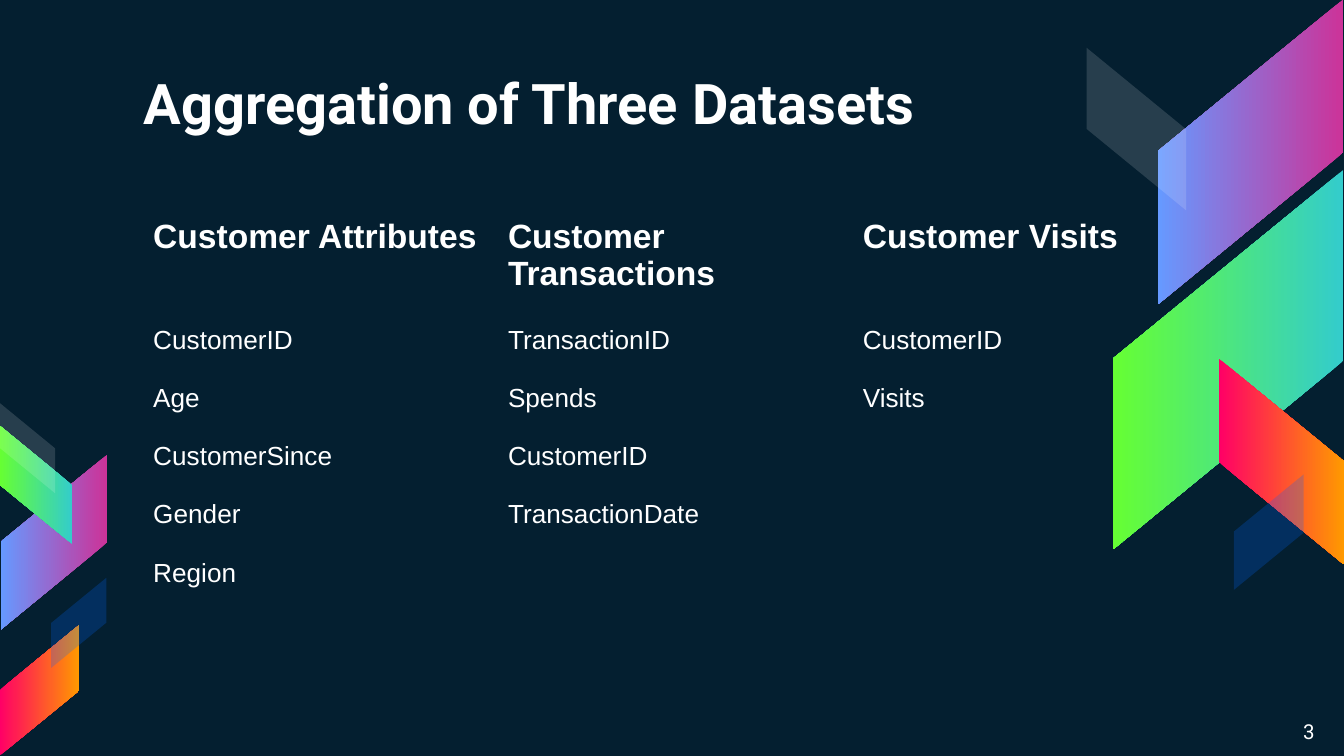
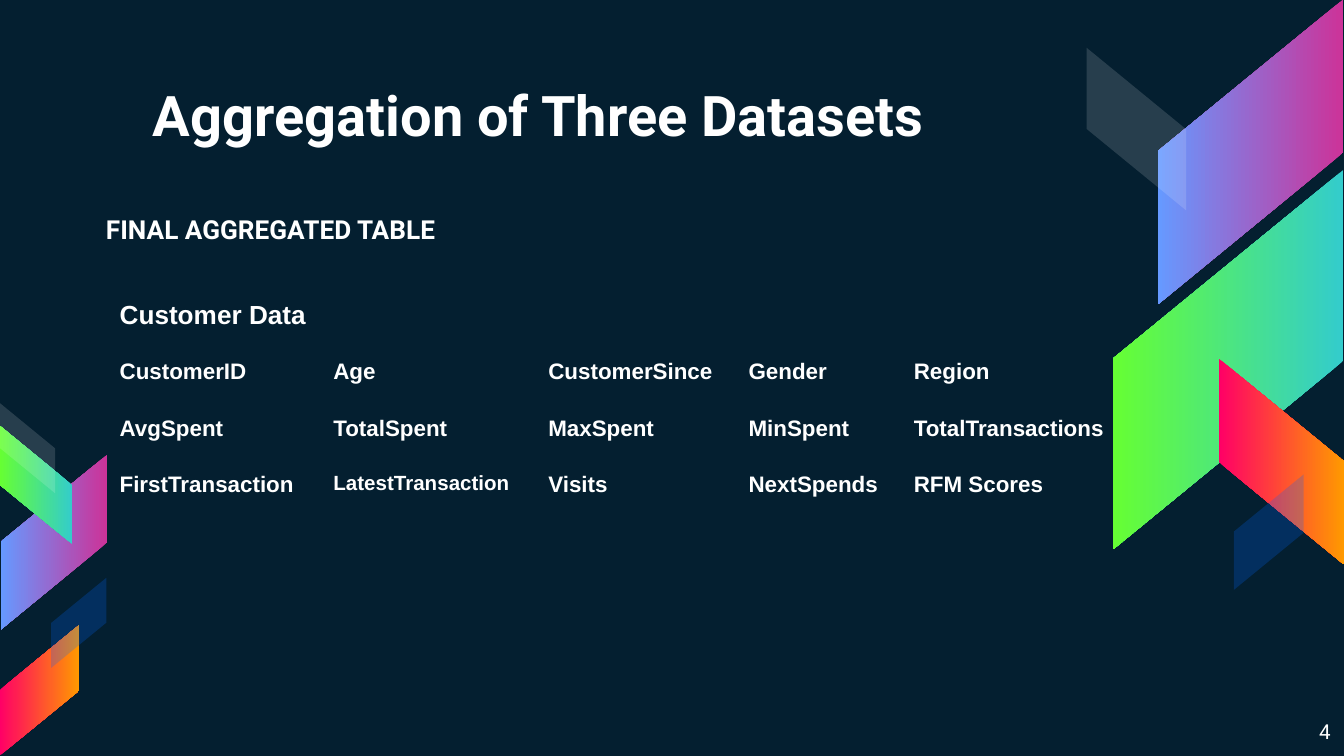
from dataclasses import dataclass

from lxml import etree
from pptx import Presentation
from pptx import util as u
from pptx.dml.color import RGBColor
from pptx.enum import shapes, text
from pptx.oxml import ns
from pptx.slide import Slide
from pptx.table import Table, _Cell
from pptx.text.text import TextFrame

NAVY = "041F30"
WHITE = "FFFFFF"
BLUE = "0066FF"
PURPLE_BLUE = ("CC3399", "6699FF")
TEAL_GREEN = ("33CCCC", "66FF33")
PINK_ORANGE = ("FF0066", "FF9900")
HEADING_FONT = "Roboto"
BODY_FONT = "Arial"
SLIDE_WIDTH = 10
INSET = 0.1
BAND_SLANT = 0.819
TITLE = "Aggregation of Three Datasets"


@dataclass(frozen=True)
class Box:
    left: float
    top: float
    width: float
    height: float

    def emu(self) -> tuple[u.Length, ...]:
        return tuple(u.Inches(v) for v in (self.left, self.top, self.width, self.height))


@dataclass(frozen=True)
class Band:
    box: Box
    rotation: int
    flipped: bool
    colors: tuple[str, ...]
    opacity: int = 100


BANDS = (
    Band(Box(8.17, 0.44, 2.27, 1.38), 90, True, PURPLE_BLUE),
    Band(Box(7.73, 1.82, 2.82, 1.71), 90, True, TEAL_GREEN),
    Band(Box(8.77, 2.97, 1.53, 0.93), 270, False, PINK_ORANGE),
    Band(Box(7.85, 0.59, 1.21, 0.74), 270, False, (WHITE,), 14),
    Band(Box(9.01, 3.7, 0.86, 0.52), 270, True, (BLUE,), 23),
    Band(Box(-0.25, 3.64, 1.3, 0.79), 90, True, PURPLE_BLUE),
    Band(Box(-0.17, 3.34, 0.88, 0.54), 90, False, TEAL_GREEN),
    Band(Box(-0.19, 4.84, 0.97, 0.59), 270, True, PINK_ORANGE),
    Band(Box(-0.13, 3.13, 0.67, 0.41), 270, False, (WHITE,), 14),
    Band(Box(0.25, 4.43, 0.67, 0.41), 270, True, (BLUE,), 23),
)

DATASETS = {
    "Customer Attributes": ["CustomerID", "Age", "CustomerSince", "Gender", "Region"],
    "Customer Transactions": ["TransactionID", "Spends", "CustomerID", "TransactionDate"],
    "Customer Visits": ["CustomerID", "Visits"],
}

AGGREGATED_FIELDS = [
    ["CustomerID", "Age", "CustomerSince", "Gender", "Region"],
    ["AvgSpent", "TotalSpent", "MaxSpent", "MinSpent", "TotalTransactions"],
    ["FirstTransaction", "LatestTransaction", "Visits", "NextSpends", "RFM Scores"],
]


def rgb(color: str) -> RGBColor:
    return RGBColor.from_string(color)


def write(tf: TextFrame, content: str, *, size: float, font: str = BODY_FONT,
          bold: bool = False, align: text.PP_ALIGN | None = None) -> None:
    p = tf.paragraphs[0]
    p.alignment = align
    if not content:
        end = etree.SubElement(p._p, ns.qn("a:endParaRPr"), sz=str(size * 100))
        etree.SubElement(end, ns.qn("a:latin"), typeface=font)
        return
    r = p.add_run()
    r.text = content
    r.font.size = u.Pt(size)
    r.font.name = font
    r.font.bold = bold
    r.font.color.rgb = rgb(WHITE)


def add_text(s: Slide, box: Box, content: str, *,
             anchor: text.MSO_ANCHOR = text.MSO_ANCHOR.TOP, **style) -> None:
    tf = s.shapes.add_textbox(*box.emu()).text_frame
    tf.word_wrap = True
    tf.vertical_anchor = anchor
    tf.margin_left = tf.margin_right = u.Inches(INSET)
    tf.margin_top = tf.margin_bottom = u.Inches(INSET)
    write(tf, content, font=HEADING_FONT, **style)


def add_band(s: Slide, band: Band) -> None:
    sp = s.shapes.add_shape(shapes.MSO_SHAPE.PARALLELOGRAM, *band.box.emu())
    sp.adjustments[0] = BAND_SLANT
    sp.rotation = band.rotation
    sp.shadow.inherit = False
    sp.line.fill.background()
    spPr = sp._element.spPr
    if band.flipped:
        spPr.xfrm.set("flipH", "1")
    if len(band.colors) > 1:
        sp.fill.gradient()
        sp.fill.gradient_angle = 270
        for stop, color in zip(sp.fill.gradient_stops, band.colors):
            stop.color.rgb = rgb(color)
    else:
        sp.fill.solid()
        sp.fill.fore_color.rgb = rgb(band.colors[0])
        tint = spPr.find(ns.qn("a:solidFill"))[0]
        etree.SubElement(tint, ns.qn("a:alpha"), val=str(band.opacity * 1000))


def add_slide(prs: Presentation, title_box: Box, number: int, number_left: float) -> Slide:
    s = prs.slides.add_slide(prs.slide_layouts[6])
    s.background.fill.solid()
    s.background.fill.fore_color.rgb = rgb(NAVY)
    for band in BANDS:
        add_band(s, band)
    add_text(s, title_box, TITLE, size=30, bold=True, anchor=text.MSO_ANCHOR.BOTTOM)
    add_text(s, Box(number_left, 5.26, 0.64, 0.36), str(number), size=11,
             align=text.PP_ALIGN.RIGHT)
    return s


def add_plain_table(s: Slide, box: Box, widths: list[float],
                    row_count: int, row_height: float) -> Table:
    frame = s.shapes.add_table(row_count, len(widths), *box.emu())
    table = frame.table
    table.first_row = table.horz_banding = False
    for column, width in zip(table.columns, widths):
        column.width = u.Inches(width)
    for row in table.rows:
        row.height = u.Inches(row_height)
    frame.height = u.Inches(box.height)
    for cell in table.iter_cells():
        clear_cell(cell)
    return table


def clear_cell(cell: _Cell) -> None:
    cell.margin_left = cell.margin_right = u.Inches(INSET)
    cell.margin_top = cell.margin_bottom = u.Inches(INSET)
    tcPr = cell._tc.get_or_add_tcPr()
    for side in ("lnL", "lnR", "lnT", "lnB"):
        ln = etree.SubElement(tcPr, ns.qn(f"a:{side}"))
        etree.SubElement(ln, ns.qn("a:noFill"))
    cell.fill.background()


def add_datasets_slide(prs: Presentation) -> None:
    s = add_slide(prs, Box(0.97, 0.68, 5.95, 0.43), 3, 9.24)
    field_count = max(len(fields) for fields in DATASETS.values())
    table = add_plain_table(s, Box(1.04, 1.52, 7.92, 2.97), [2.64] * len(DATASETS),
                            field_count + 1, 0.32)
    for col, (name, fields) in enumerate(DATASETS.items()):
        write(table.cell(0, col).text_frame, name, size=18, bold=True)
        padded = fields + [""] * (field_count - len(fields))
        for row, field in enumerate(padded, start=1):
            write(table.cell(row, col).text_frame, field, size=14)


def add_aggregated_slide(prs: Presentation) -> None:
    s = add_slide(prs, Box(1.04, 0.5, 6.53, 0.7), 4, 9.36)
    add_text(s, Box(0.69, 1.49, 5.6, 0.45), "FINAL AGGREGATED TABLE", size=14, bold=True)
    widths = [1.59, 1.6, 1.49, 1.23, 2.04]
    table = add_plain_table(s, Box(0.79, 2.14, 7.94, 1.68), widths,
                            len(AGGREGATED_FIELDS) + 1, 0.42)
    table.cell(0, 0).merge(table.cell(0, len(widths) - 1))
    for col in range(len(widths)):
        heading = "" if col else "Customer Data"
        write(table.cell(0, col).text_frame, heading, size=14, bold=True)
    for row, fields in enumerate(AGGREGATED_FIELDS, start=1):
        for col, field in enumerate(fields):
            size = 11 if field == "LatestTransaction" else 12
            write(table.cell(row, col).text_frame, field, size=size, bold=True)


def main() -> None:
    prs = Presentation()
    prs.slide_width = u.Inches(SLIDE_WIDTH)
    prs.slide_height = u.Inches(SLIDE_WIDTH * 9 / 16)
    add_datasets_slide(prs)
    add_aggregated_slide(prs)
    prs.save("out.pptx")


if __name__ == "__main__":
    main()
